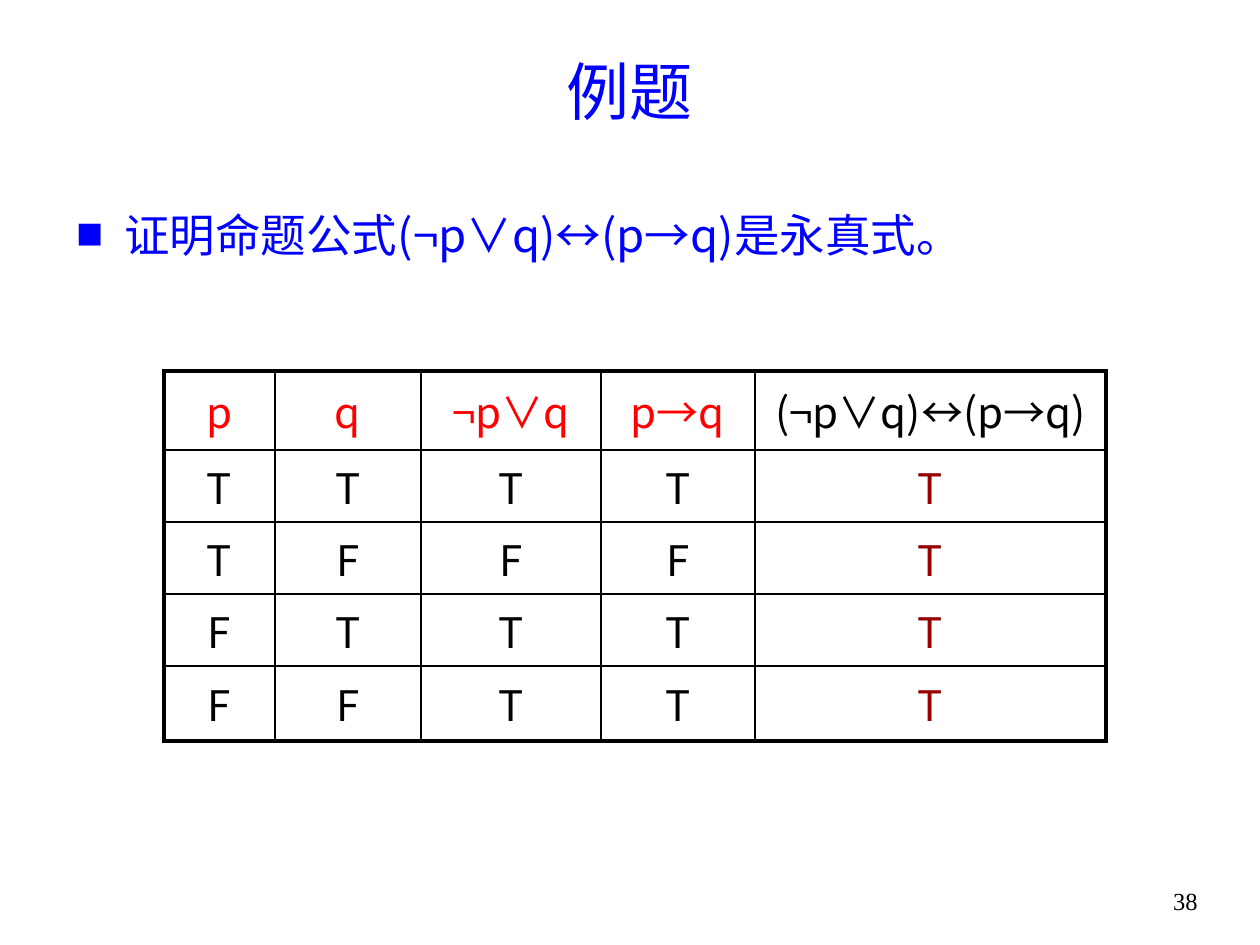
from lxml.etree import SubElement as Sub
from pptx import Presentation
from pptx.dml.color import RGBColor
from pptx.enum.text import MSO_ANCHOR as Anchor, PP_ALIGN as Align
from pptx.oxml.ns import qn
from pptx.util import Emu, Pt

SCALE = 914400 / 126
SANS = "Noto Sans CJK SC"
BLUE, RED, DARK, BLACK = "0000FF", "FF0000", "990000", "000000"


def px(n):
    return Emu(round(n * SCALE))


def write(frame, text, size, color, face=SANS, **form):
    """Put one styled paragraph in a text frame and return it."""
    par = frame.paragraphs[0]
    for key, val in form.items():
        setattr(par, key, val)
    run = par.add_run()
    run.text = text
    look = {"size": Pt(size), "name": face}
    for key, val in look.items():
        setattr(run.font, key, val)
    run.font.color.rgb = RGBColor.from_string(color)
    Sub(run.font._element, qn("a:ea"), typeface=face)
    return par


deck = Presentation()
deck.slide_width, deck.slide_height = px(1260), px(945)
slide = deck.slides.add_slide(deck.slide_layouts[6])

# Title, statement and page number
texts = [
    ((94, 45, 1071, 90), Anchor.MIDDLE, "例题", 36, BLUE, SANS,
     {"alignment": Align.CENTER}),
    ((64, 195, 1132, 90), Anchor.TOP, "证明命题公式(¬p∨q)↔(p→q)是永真式。", 26, BLUE, SANS,
     {"line_spacing": 1.1, "space_before": Pt(5), "space_after": Pt(6)}),
    ((1126, 880, 119, 44), Anchor.TOP, "38", 14, BLACK, "Times New Roman",
     {"alignment": Align.CENTER}),
]
pars = []
for box, anchor, text, size, color, face, form in texts:
    frame = slide.shapes.add_textbox(*map(px, box)).text_frame
    frame.word_wrap = True
    frame.vertical_anchor = anchor
    pars.append(write(frame, text, size, color, face, **form))

# Square bullet with a hanging indent
props = pars[1]._p.get_or_add_pPr()
props.set("marL", str(px(48)))
props.set("indent", str(px(-48)))
tint = Sub(props, qn("a:buClr"))
Sub(tint, qn("a:srgbClr"), val=BLUE)
Sub(props, qn("a:buSzPct"), val="60000")
Sub(props, qn("a:buFont"), typeface=SANS)
Sub(props, qn("a:buChar"), char="■")

# Truth table
rows = [
    ["p", "q", "¬p∨q", "p→q", "(¬p∨q)↔(p→q)"],
    *map(list, ("TTTTT", "TFFFT", "FTTTT", "FFTTT")),
]
widths = [111, 146, 180, 154, 351]
heights = [79, 72, 72, 72, 75]
last_row, last_col = len(heights) - 1, len(widths) - 1
table = slide.shapes.add_table(
    len(heights), len(widths), px(164), px(371),
    px(sum(widths)), px(sum(heights))).table
table.first_row = table.horz_banding = False
for col, width in zip(table.columns, widths):
    col.width = px(width)
for row, height in zip(table.rows, heights):
    row.height = px(height)

pad = dict.fromkeys(
    ("margin_left", "margin_right", "margin_top", "margin_bottom"), 0)
for r, row in enumerate(rows):
    for c, text in enumerate(row):
        cell = table.cell(r, c)
        for key, val in {**pad, "vertical_anchor": Anchor.MIDDLE}.items():
            setattr(cell, key, val)
        if r == 0:
            color = BLACK if c == last_col else RED
        else:
            color = DARK if c == last_col else BLACK
        write(cell.text_frame, text, 24, color,
              alignment=Align.CENTER, space_before=Pt(5))
        outer = {"L": c == 0, "R": c == last_col,
                 "T": r == 0, "B": r == last_row}
        props = cell._tc.get_or_add_tcPr()
        for side, thick in outer.items():
            line = Sub(props, qn(f"a:ln{side}"), w=str(Pt(2.25 if thick else 1)))
            fill = Sub(line, qn("a:solidFill"))
            Sub(fill, qn("a:srgbClr"), val=BLACK)
        cell.fill.background()

deck.save("out.pptx")
